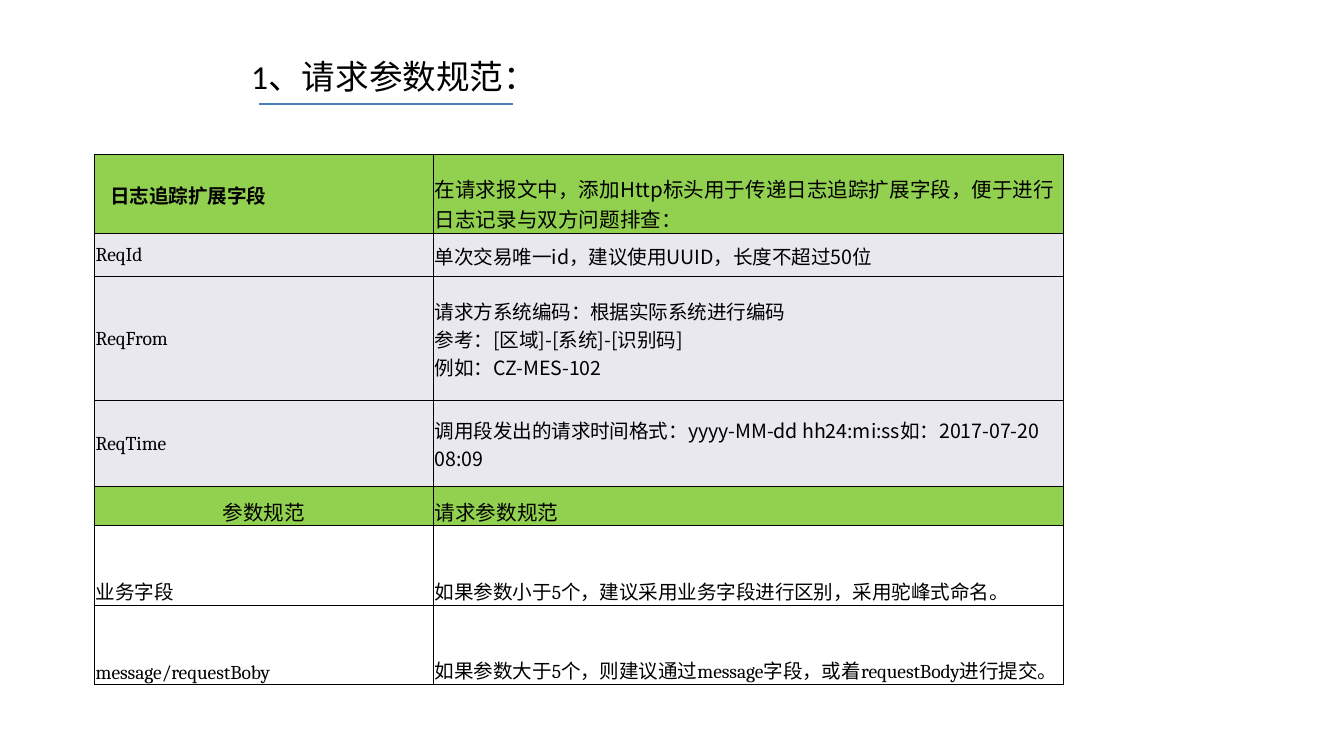
from lxml import etree
from pptx import Presentation
from pptx.dml.color import RGBColor
from pptx.enum.shapes import MSO_CONNECTOR
from pptx.enum.text import MSO_ANCHOR, MSO_AUTO_SIZE, PP_ALIGN
from pptx.oxml.ns import qn
from pptx.util import Pt

STRAIGHT = MSO_CONNECTOR.STRAIGHT
MID, LOW = MSO_ANCHOR.MIDDLE, MSO_ANCHOR.BOTTOM
LEFT, MIDST = PP_ALIGN.LEFT, PP_ALIGN.CENTER
FIT = MSO_AUTO_SIZE.SHAPE_TO_FIT_TEXT

BLACK = RGBColor(0x00, 0x00, 0x00)
WHITE = RGBColor(0xFF, 0xFF, 0xFF)
GREEN = RGBColor(0x92, 0xD0, 0x50)
GREY = RGBColor(0xE8, 0xE8, 0xEE)
BLUE = RGBColor(0x4B, 0x7E, 0xBC)
SANS, SERIF, HEAD = "Noto Sans CJK SC", "Cambria", "Calibri"

COLS = (181.7, 337.5)
# Row height, fill, anchor, then (text, font, size) for each column
ROWS = (
    (42.4, GREEN, (MID, LOW),
     ("日志追踪扩展字段", SANS, 10.5),
     ("在请求报文中，添加Http标头用于传递日志追踪扩展字段，便于进行日志记录与双方问题排查：", SANS, 11)),
    (23, GREY, (MID, MID),
     ("ReqId", SERIF, 10.5),
     ("单次交易唯一id，建议使用UUID，长度不超过50位", SANS, 10.5)),
    (66.4, GREY, (MID, MID),
     ("ReqFrom", SERIF, 10.5),
     ("请求方系统编码：根据实际系统进行编码\n参考：[区域]-[系统]-[识别码]\n例如：CZ-MES-102", SANS, 10.5)),
    (46, GREY, (MID, MID),
     ("ReqTime", SERIF, 10.5),
     ("调用段发出的请求时间格式：yyyy-MM-dd hh24:mi:ss如：2017-07-20 08:09", SANS, 10.5)),
    (21.3, GREEN, (LOW, LOW),
     ("参数规范", SANS, 11),
     ("请求参数规范", SANS, 11)),
    (42.4, WHITE, (LOW, LOW),
     ("业务字段", SERIF, 10.5),
     ("如果参数小于5个，建议采用业务字段进行区别，采用驼峰式命名。", SERIF, 10.5)),
    (42.4, WHITE, (LOW, LOW),
     ("message/requestBoby", SERIF, 10.5),
     ("如果参数大于5个，则建议通过message字段，或着requestBody进行提交。", SERIF, 10.5)),
)


def add_run(para, text, font, size, bold=False):
    run = para.add_run()
    run.text = text
    run.font.name, run.font.size, run.font.bold = font, Pt(size), bold
    run.font.color.rgb = BLACK
    # Font for the Chinese letters
    east = etree.SubElement(run.font._element, qn("a:ea"))
    east.set("typeface", SANS)


def add_title(slide, text):
    title = slide.shapes.title
    title.left, title.top, title.width, title.height = Pt(127.4), Pt(26.6), Pt(169.2), Pt(28.8)
    frame = title.text_frame
    frame.word_wrap = False
    frame.auto_size = FIT
    frame.vertical_anchor = MID
    para = frame.paragraphs[0]
    para.alignment = LEFT
    add_run(para, text, HEAD, 18)


def add_rule(slide, left, right, top):
    rule = slide.shapes.add_connector(STRAIGHT, Pt(left), Pt(top), Pt(right), Pt(top))
    rule.line.color.rgb = BLUE
    rule.line.width = Pt(0.75)
    etree.SubElement(rule._element.spPr, qn("a:effectLst"))


def set_edges(cell):
    props = cell._tc.get_or_add_tcPr()
    for spot, side in enumerate(("lnL", "lnR", "lnT", "lnB")):
        edge = etree.Element(qn("a:" + side), w=str(Pt(0.5)))
        fill = etree.SubElement(edge, qn("a:solidFill"))
        etree.SubElement(fill, qn("a:srgbClr"), val=str(BLACK))
        props.insert(spot, edge)


def fill_cell(cell, text, font, size, fill, anchor, bold):
    cell.margin_left = Pt(8.6 if bold else 0.7)
    cell.margin_right = cell.margin_top = Pt(0.7)
    cell.margin_bottom = Pt(0)
    cell.vertical_anchor = anchor
    cell.fill.solid()
    cell.fill.fore_color.rgb = fill
    set_edges(cell)
    para = cell.text_frame.paragraphs[0]
    para.alignment = MIDST if text == "参数规范" else LEFT
    for num, line in enumerate(text.split("\n")):
        if num:
            para.add_line_break()
        add_run(para, line, font, size, bold)


def add_grid(slide, left, top):
    high = sum(row[0] for row in ROWS)
    frame = slide.shapes.add_table(len(ROWS), len(COLS), Pt(left), Pt(top), Pt(sum(COLS)), Pt(high))
    table = frame.table
    table.first_row = table.horz_banding = False
    for col, width in zip(table.columns, COLS):
        col.width = Pt(width)
    for r, (height, fill, anchors, *cells) in enumerate(ROWS):
        table.rows[r].height = Pt(height)
        for c, (text, font, size) in enumerate(cells):
            fill_cell(table.cell(r, c), text, font, size, fill, anchors[c], r == c == 0)


def main():
    deck = Presentation()
    deck.slide_width, deck.slide_height = Pt(720), Pt(405)
    slide = deck.slides.add_slide(deck.slide_layouts[5])
    # Heading with its underline
    add_rule(slide, 139, 275, 55.8)
    add_title(slide, "1、请求参数规范：")
    # Parameter table
    add_grid(slide, 50.6, 82.7)
    deck.save("out.pptx")


if __name__ == "__main__":
    main()
